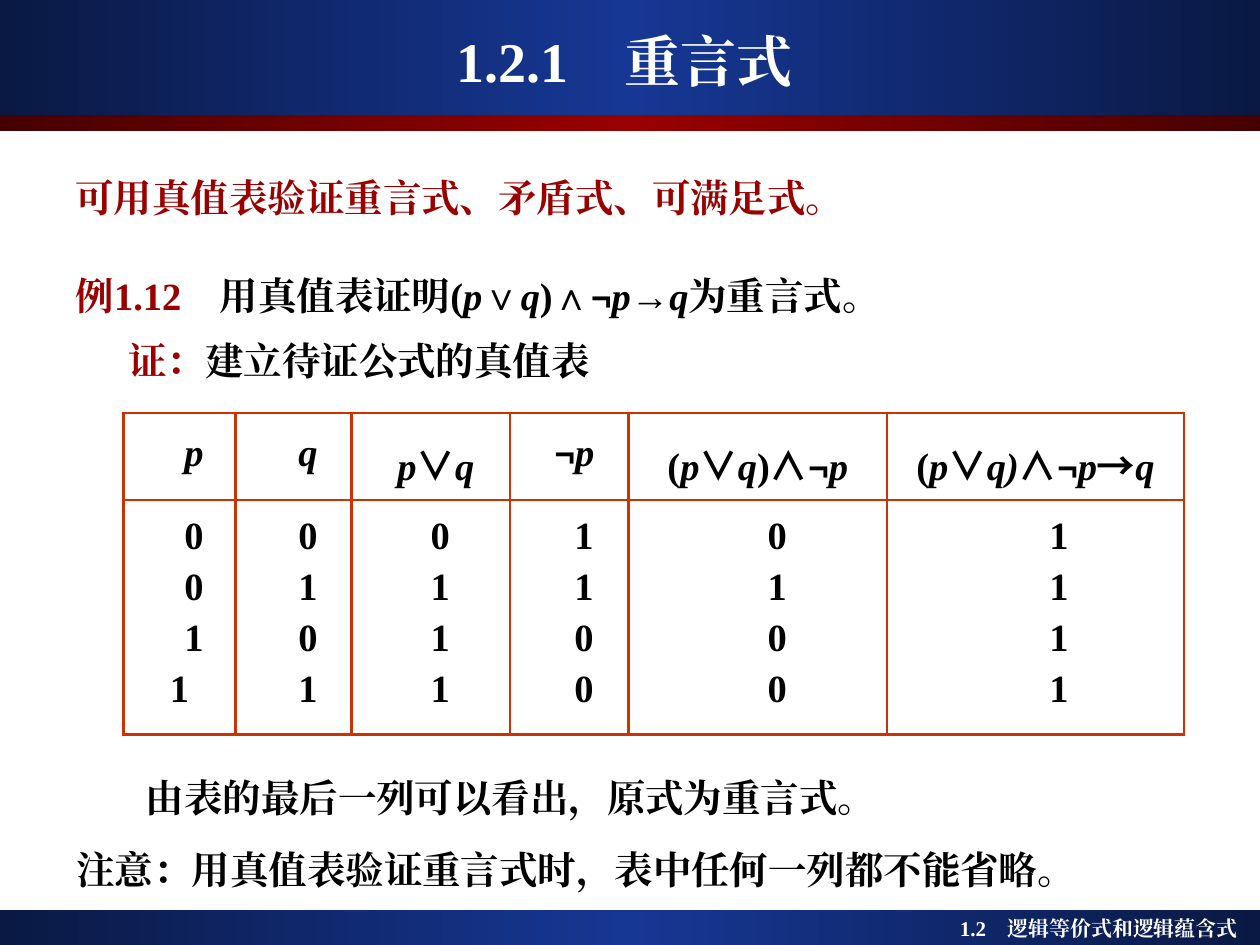
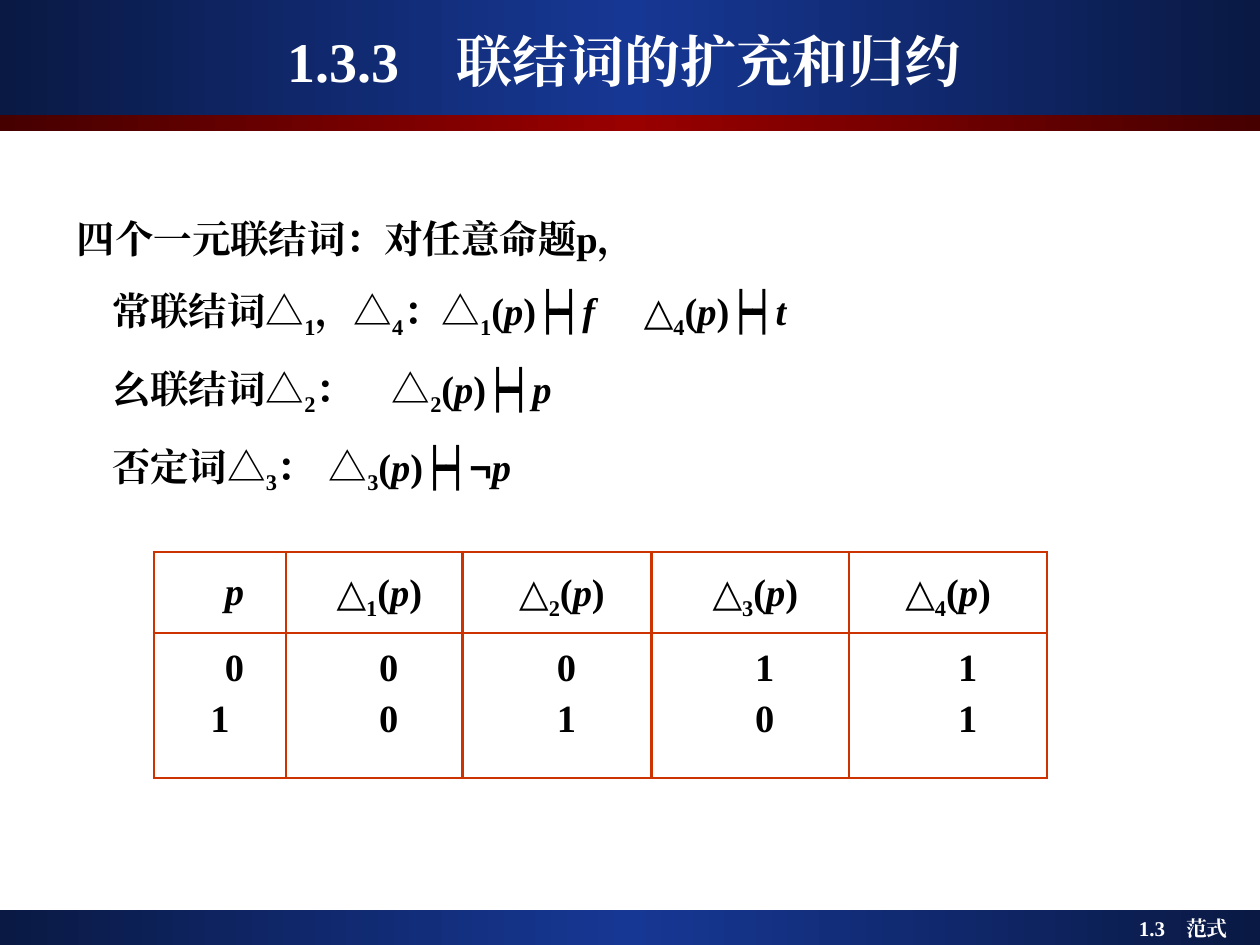
from copy import deepcopy
from dataclasses import dataclass
from typing import NamedTuple

from lxml import etree
from pptx import Presentation
from pptx.dml.color import RGBColor
from pptx.enum import shapes, text
from pptx.oxml.ns import qn
from pptx.util import Inches, Pt

# Shared style
NAVY = RGBColor(0x0A, 0x19, 0x44)
BLUE = RGBColor(0x16, 0x37, 0x94)
MAROON = RGBColor(0x46, 0x00, 0x00)
RED = RGBColor(0x99, 0x00, 0x00)
ORANGE = RGBColor(0xCC, 0x33, 0x00)
BLACK = RGBColor(0x00, 0x00, 0x00)
WHITE = RGBColor(0xFF, 0xFF, 0xFF)
SERIF, SANS, CJK = "Times New Roman", "Arial", "Noto Sans CJK SC"
BORDER_WIDTH = Pt(1.5)
CENTER = text.PP_ALIGN.CENTER


class Run(NamedTuple):
    text: str
    italic: bool = False
    lowered: bool = False
    font: str = ""
    size: float = 0
    color: RGBColor | None = None


@dataclass
class Line:
    """One paragraph; indent and tabs are in inches."""
    runs: list[Run]
    spacing: float = 1.2
    before: float = 0
    indent: float = 0
    tabs: tuple[float, ...] = ()
    align: text.PP_ALIGN = text.PP_ALIGN.LEFT
    size: float = 22
    color: RGBColor = BLACK


class Band(NamedTuple):
    top: float
    height: float
    edge: RGBColor
    middle: RGBColor


class Column(NamedTuple):
    width: float
    header: list[Run]
    values: str
    header_indent: float
    value_indent: float


class Box(NamedTuple):
    left: float
    top: float
    width: float
    height: float


BANDS = [
    Band(7.22, 0.28, NAVY, BLUE),
    Band(0, 0.91, NAVY, BLUE),
    Band(0.91, 0.13, MAROON, RED),
]

# Formula symbols
P, Q, F, T = (Run(letter, italic=True) for letter in "pqft")
OPEN, CLOSE = Run("("), Run(")")
NOT = Run("¬", font=SANS, size=20)
OR, AND, THEN = (Run(symbol, font=CJK) for symbol in "∨∧→")
EQUIVALENT = Run(")┝┥")


def index(number: int) -> Run:
    return Run(str(number), lowered=True)


def connective(number: int) -> list[Run]:
    return [Run("△"), index(number), OPEN, P, CLOSE]


def set_typeface(font, name: str) -> None:
    """Set the Latin and the East Asian typeface alike."""
    font.name = name
    etree.SubElement(font._rPr, qn("a:ea")).set("typeface", name)


def write_line(paragraph, line: Line) -> None:
    paragraph.alignment = line.align
    paragraph.line_spacing = line.spacing
    paragraph.space_before = Pt(line.before)
    properties = paragraph._p.get_or_add_pPr()
    properties.set("marL", "0")
    properties.set("indent", str(Inches(line.indent)))
    etree.SubElement(properties, qn("a:buNone"))
    if line.tabs:
        tab_list = etree.SubElement(properties, qn("a:tabLst"))
        for position in line.tabs:
            etree.SubElement(tab_list, qn("a:tab"),
                             pos=str(Inches(position)), algn="l")
    paragraph.font.size = Pt(line.size)
    paragraph.font.bold = True
    paragraph.font.color.rgb = line.color
    set_typeface(paragraph.font, SERIF)
    for part in line.runs:
        run = paragraph.add_run()
        run.text = part.text
        if part.italic:
            run.font.italic = True
        if part.size:
            run.font.size = Pt(part.size)
        if part.color is not None:
            run.font.color.rgb = part.color
        if part.font:
            set_typeface(run.font, part.font)
        if part.lowered:
            run._r.get_or_add_rPr().set("baseline", "-25000")


def write_lines(frame, lines: list[Line]) -> None:
    for number, line in enumerate(lines):
        paragraph = frame.add_paragraph() if number else frame.paragraphs[0]
        write_line(paragraph, line)


def place(shape, box: Box) -> None:
    shape.left, shape.top, shape.width, shape.height = map(Inches, box)


def fill_placeholder(shape, box: Box, lines: list[Line]) -> None:
    place(shape, box)
    shape.text_frame.auto_size = text.MSO_AUTO_SIZE.NONE
    write_lines(shape.text_frame, lines)


def add_text(slide, box: Box, line: Line, wrap: bool = True) -> None:
    shape = slide.shapes.add_textbox(*map(Inches, box))
    shape.text_frame.word_wrap = wrap
    write_lines(shape.text_frame, [line])


def add_band(slide, layout, band: Band, position: int) -> None:
    """Draw a gradient band and hand it to the layout, behind its text."""
    shape = slide.shapes.add_shape(
        shapes.MSO_SHAPE.RECTANGLE, 0, Inches(band.top),
        Inches(10), Inches(band.height))
    shape.shadow.inherit = False
    shape.line.fill.background()
    shape.fill.gradient()
    shape.fill.gradient_angle = 0
    stop_list = shape.element.find(".//" + qn("a:gsLst"))
    stop_list.insert(1, deepcopy(stop_list[0]))
    colors = (band.edge, band.middle, band.edge)
    for stop, color, offset in zip(shape.fill.gradient_stops, colors, (0, 0.5, 1)):
        stop.color.rgb = color
        stop.position = offset
    layout.shapes.element.insert(2 + position, shape.element)


def format_cell(cell) -> None:
    cell.fill.background()
    properties = cell._tc.get_or_add_tcPr()
    for position, side in enumerate(("lnL", "lnR", "lnT", "lnB")):
        border = etree.Element(qn(f"a:{side}"), w=str(BORDER_WIDTH))
        fill = etree.SubElement(border, qn("a:solidFill"))
        etree.SubElement(fill, qn("a:srgbClr"), val=str(ORANGE))
        properties.insert(position, border)


def add_truth_table(slide, left: float, top: float,
                    row_heights: tuple[float, float],
                    columns: list[Column]) -> None:
    width = sum(column.width for column in columns)
    table = slide.shapes.add_table(
        2, len(columns), Inches(left), Inches(top),
        Inches(width), Inches(sum(row_heights))).table
    table.first_row = table.horz_banding = False
    for row, height in zip(table.rows, row_heights):
        row.height = Inches(height)
    for number, column in enumerate(columns):
        table.columns[number].width = Inches(column.width)
        header = Line(column.header, 1.3, indent=column.header_indent, align=CENTER)
        values = [Line([Run(value)], indent=column.value_indent, align=CENTER)
                  for value in column.values]
        if number == 0:
            values[-1].indent = 0
        for row, lines in enumerate(([header], values)):
            cell = table.cell(row, number)
            format_cell(cell)
            write_lines(cell.text_frame, lines)


def add_lesson(presentation, layout, title: str, footer: str,
               footer_box: Box, body_box: Box, body: list[Line]):
    slide = presentation.slides.add_slide(layout)
    fill_placeholder(slide.shapes.title, Box(0.33, 0.17, 9.25, 0.62),
                     [Line([Run(title)], 1, align=CENTER, size=32, color=WHITE)])
    fill_placeholder(slide.placeholders[1], body_box, body)
    add_text(slide, footer_box,
             Line([Run(footer)], 1, size=12, color=WHITE), wrap=False)
    return slide


def add_tautology_slide(presentation, layout):
    body = [
        Line([Run("可用真值表验证重言式、矛盾式、可满足式。")], color=RED),
        Line([Run("例1.12　", color=RED), Run("用真值表证明("), P, Run("∨"), Q,
              Run(")∧"), NOT, P, Run("→"), Q, Run("为重言式。")], 1.9, 5.5),
        Line([Run("证：", color=RED), Run("建立待证公式的真值表")],
             before=5.5, indent=0.42),
    ]
    slide = add_lesson(presentation, layout, "1.2.1　重言式",
                       "1.2　逻辑等价式和逻辑蕴含式", Box(7.52, 7.22, 2.48, 0.3),
                       Box(0.5, 1.26, 8.99, 2.02), body)
    conjunction = [OPEN, P, OR, Q, CLOSE, AND, NOT, P]
    implication = [OPEN, P, OR, Run("q)", italic=True), AND, NOT, P, THEN, Q]
    add_truth_table(slide, 0.98, 3.28, (0.69, 1.86), [
        Column(0.89, [P], "0011", 0.23, 0.23),
        Column(0.92, [Q], "0101", 0.23, 0.23),
        Column(1.26, [P, OR, Q], "0111", 0.08, 0.15),
        Column(0.94, [NOT, P], "1100", 0.08, 0.23),
        Column(2.05, conjunction, "0100", 0, 0.31),
        Column(2.36, implication, "1111", 0, 0.37),
    ])
    add_text(slide, Box(1.06, 5.95, 6.57, 0.63),
             Line([Run("由表的最后一列可以看出，原式为重言式。")], 1.4))
    add_text(slide, Box(0.51, 6.59, 8.43, 0.45),
             Line([Run("注意：用真值表验证重言式时，表中任何一列都不能省略。")]))
    return slide


def add_connectives_slide(presentation, layout):
    def claim(number: int, *result: Run) -> list[Run]:
        return [index(number), OPEN, P, EQUIVALENT, *result]

    rows = [
        [Run("常联结词△"), index(1), Run("，△"), index(4), Run("：△"),
         *claim(1, F), Run("\t△"), *claim(4, T)],
        [Run("幺联结词△"), index(2), Run("：\t△"), *claim(2, P)],
        [Run("否定词△"), index(3), Run("：\t△"),
         *claim(3, Run("¬", font=SANS), P)],
    ]
    tab_stops = [(5.25,), (3.04,), (3.04,)]
    body = [Line([Run("四个一元联结词：对任意命题p，")], 1.3)]
    body += [Line(runs, 1.3, 5.5, 0.28, tabs)
             for runs, tabs in zip(rows, tab_stops)]
    slide = add_lesson(presentation, layout, "1.3.3　联结词的扩充和归约",
                       "1.3　范式", Box(8.94, 7.22, 1.06, 0.3),
                       Box(0.51, 1.55, 8.91, 2.57), body)
    add_truth_table(slide, 1.22, 4.38, (0.64, 1.15), [
        Column(1.05, [P], "01", 0.23, 0.23),
        Column(1.4, connective(1), "00", 0.08, 0.23),
        Column(1.5, connective(2), "01", 0.08, 0.15),
        Column(1.57, connective(3), "10", 0.08, 0.23),
        Column(1.57, connective(4), "11", 0, 0.31),
    ])
    return slide


def main() -> None:
    presentation = Presentation()
    presentation.slide_width, presentation.slide_height = Inches(10), Inches(7.5)
    layout = presentation.slide_layouts[1]

    # The bands replace the layout's date, footer and number fields
    for placeholder in list(layout.placeholders):
        if placeholder.placeholder_format.idx >= 10:
            layout.shapes.element.remove(placeholder.element)
    first_slide = add_tautology_slide(presentation, layout)
    for position, band in enumerate(BANDS):
        add_band(first_slide, layout, band, position)
    add_connectives_slide(presentation, layout)
    presentation.save("out.pptx")


if __name__ == "__main__":
    main()
